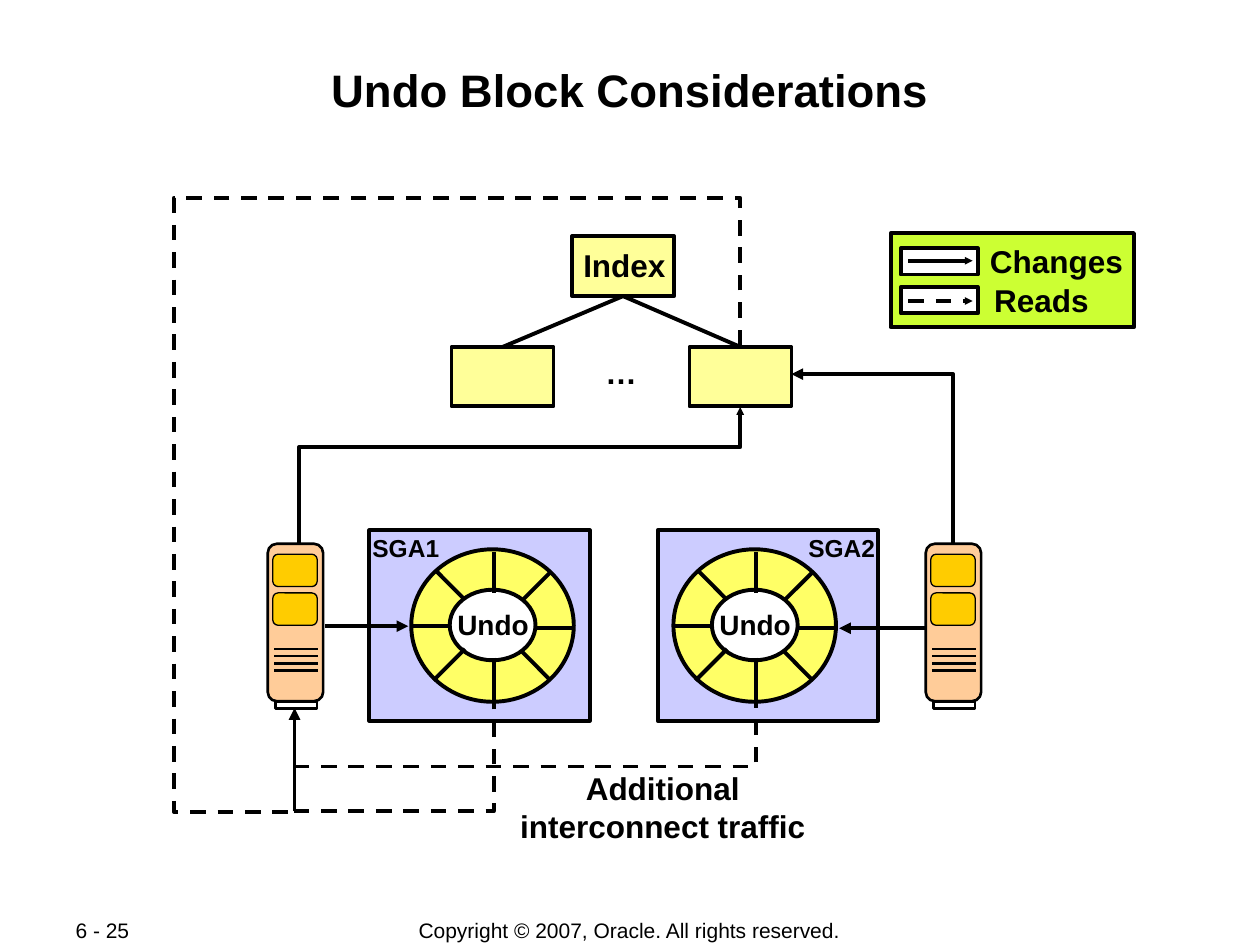
from lxml.etree import SubElement
from pptx import Presentation
from pptx.dml.color import RGBColor
from pptx.enum.dml import MSO_LINE
from pptx.enum.shapes import MSO_CONNECTOR, MSO_SHAPE
from pptx.enum.text import MSO_ANCHOR, PP_ALIGN
from pptx.oxml.ns import qn
from pptx.util import Pt

COLORS = {
    "black": "000000", "white": "FFFFFF", "sga": "CCCCFF", "legend": "CCFF33",
    "block": "FFFF99", "ring": "FFFF66", "server": "FFCC99", "drive": "FFCC00",
}
TEXTS = [
    ("Copyright © 2007, Oracle. All rights reserved.", (198, 524.2, 323.3, 15),
     dict(size=12, bold=False, anchor=MSO_ANCHOR.MIDDLE)),
    ("6 - 25", (43.2, 524.2, 69.1, 14.4),
     dict(size=12, bold=False, align=PP_ALIGN.LEFT, anchor=MSO_ANCHOR.MIDDLE)),
    ("Undo Block Considerations", (48.2, 34.6, 623.5, 69.1),
     dict(size=26, inset=0.7, wrap=True)),
    ("SGA2", (454.7, 301, 52.6, 24.5), dict(size=14)),
    ("SGA1", (205.6, 301, 52.6, 24.5), dict(size=14)),
    ("…", (338.8, 198, 32.4, 28.8), {}),
    ("Changes", (558.7, 134.6, 90, 28.8), {}),
    ("Reads", (560.9, 157, 68.4, 28.8), {}),
    ("Index", (326.2, 136.8, 61.2, 28.8), {}),
    ("Additional\ninterconnect traffic", (290.2, 436, 177.1, 50.4), {}),
]
SGA_BOXES = [(375.8, 303.1, 126, 108.7), (211, 303.1, 126, 108.7)]
LEGEND = (509, 133.2, 139, 53.8)
LEGEND_KEYS = [(141.8, 149, False), (164, 172, True)]
INDEX_ROOT = (326.9, 135, 58.3, 34.2)
INDEX_LEAVES = [(258, 198.3, 58.3, 33.8), (394, 198.3, 58.3, 33.8)]
RING_CENTERS = [282.2, 432]
SPOKES = [
    ((0, 315.4), (0, 339.1)), ((0, 375.8), (0, 400.3)),
    ((23, 359), (46.1, 359)), ((-16.5, 370.8), (-34.5, 388.8)),
    ((16, 372.2), (31.7, 388.1)), ((32.4, 326.9), (16.6, 342.7)),
    ((-33, 326.2), (-17.3, 342)), ((-24.5, 357.8), (-47.5, 357.8)),
]
SERVERS = [153, 529]
ROUTES = [
    ([(170.9, 330.5), (170.9, 255.6), (423, 255.6), (423, 232.6)], dict(arrow="sm")),
    ([(544.6, 334.8), (544.6, 213.8), (452.2, 213.8)], dict(arrow="med")),
    ([(167.8, 463.4), (282.2, 463.4), (282.2, 398.2)], dict(dash=True)),
    ([(167.8, 438), (432, 438), (432, 400.3)], dict(dash=True)),
]
OUTER_READ = [(422.9, 197.3), (422.9, 113), (99.4, 113), (99.4, 464), (167, 464)]
ARROWS = [
    ((185.8, 357.8), (233.3, 357.8)),
    ((528.5, 359), (479.5, 359)),
    ((168.3, 463.7), (168.3, 404.6)),
]

prs = Presentation()
prs.slide_width, prs.slide_height = Pt(720), Pt(540)
shapes = prs.slides.add_slide(prs.slide_layouts[6]).shapes


def rgb(name):
    return RGBColor.from_string(COLORS[name])


def add_text(text, box, size=18, bold=True, align=PP_ALIGN.CENTER,
             anchor=MSO_ANCHOR.TOP, inset=3.6, wrap=False):
    tf = shapes.add_textbox(*map(Pt, box)).text_frame
    tf.word_wrap, tf.vertical_anchor = wrap, anchor
    tf.margin_left = tf.margin_right = 0
    tf.margin_top = tf.margin_bottom = Pt(inset)
    p = tf.paragraphs[0]
    p.text, p.alignment = text, align
    for r in p.runs:
        r.font.name, r.font.size, r.font.bold = "Arial", Pt(size), bold
        r.font.color.rgb = rgb("black")


def style_line(sp, width=2.25, dash=False, arrow=None):
    sp.line.color.rgb = rgb("black")
    sp.line.width = Pt(width)
    if dash:
        sp.line.dash_style = MSO_LINE.DASH
    if arrow:
        ln = sp.element.spPr.find(qn("a:ln"))
        SubElement(ln, qn("a:tailEnd"), type="triangle", w=arrow, len=arrow)


def add_box(box, fill, kind=MSO_SHAPE.RECTANGLE, width=2.25):
    sp = shapes.add_shape(kind, *map(Pt, box))
    sp.shadow.inherit = False
    sp.fill.solid()
    sp.fill.fore_color.rgb = rgb(fill)
    style_line(sp, width)
    return sp


def add_line(start, end, **fmt):
    sp = shapes.add_connector(MSO_CONNECTOR.STRAIGHT, *map(Pt, start + end))
    style_line(sp, **fmt)
    SubElement(sp.element.spPr, qn("a:effectLst"))
    return sp


def add_route(points, **fmt):
    points = [(Pt(x), Pt(y)) for x, y in points]
    fb = shapes.build_freeform(*points[0])
    fb.add_line_segments(points[1:], close=False)
    sp = fb.convert_to_shape()
    sp.shadow.inherit = False
    sp.fill.background()
    style_line(sp, **fmt)


def add_ring(cx):
    add_box((cx - 47.2, 313.9, 92.9, 87.1), "ring", MSO_SHAPE.OVAL)
    add_box((cx - 25.2, 337, 49, 40.3), "white", MSO_SHAPE.OVAL)
    for (x1, y1), (x2, y2) in SPOKES:
        add_line((cx + x1, y1), (cx + x2, y2))
    add_text("Undo", (cx - 27.8, 343.8, 54.7, 26.6), size=16)


def add_server(x):
    add_box((x, 310.7, 31.7, 90), "server", MSO_SHAPE.ROUNDED_RECTANGLE, 1.5)
    for i in range(4):
        y = 370.8 + 4.1 * i
        add_line((x + 3.6, y), (x + 28.6, y), width=1.5)
    add_box((x + 4.4, 401, 23.8, 4), "white", width=1.5)
    for y in (316.7, 338.8):
        add_box((x + 2.9, y, 25.4, 18.5), "drive", MSO_SHAPE.ROUNDED_RECTANGLE, 0.75)


for box in SGA_BOXES:
    add_box(box, "sga")
add_box(LEGEND, "legend")
for top, y, dash in LEGEND_KEYS:
    add_box((514.8, top, 43.9, 15.1), "white")
    add_line((519.1, y), (555.8, y), dash=dash, arrow="sm")

root = add_box(INDEX_ROOT, "block")
for box in INDEX_LEAVES:
    leaf = add_box(box, "block")
    branch = add_line((0, 0), (0, 0))
    branch.begin_connect(root, 2)
    branch.end_connect(leaf, 0)

for points, fmt in ROUTES:
    add_route(points, **fmt)
for cx in RING_CENTERS:
    add_ring(cx)
for x in SERVERS:
    add_server(x)
for start, end in ARROWS:
    add_line(start, end, arrow="med")
add_route(OUTER_READ, dash=True)
for text, box, fmt in TEXTS:
    add_text(text, box, **fmt)

prs.save("out.pptx")
